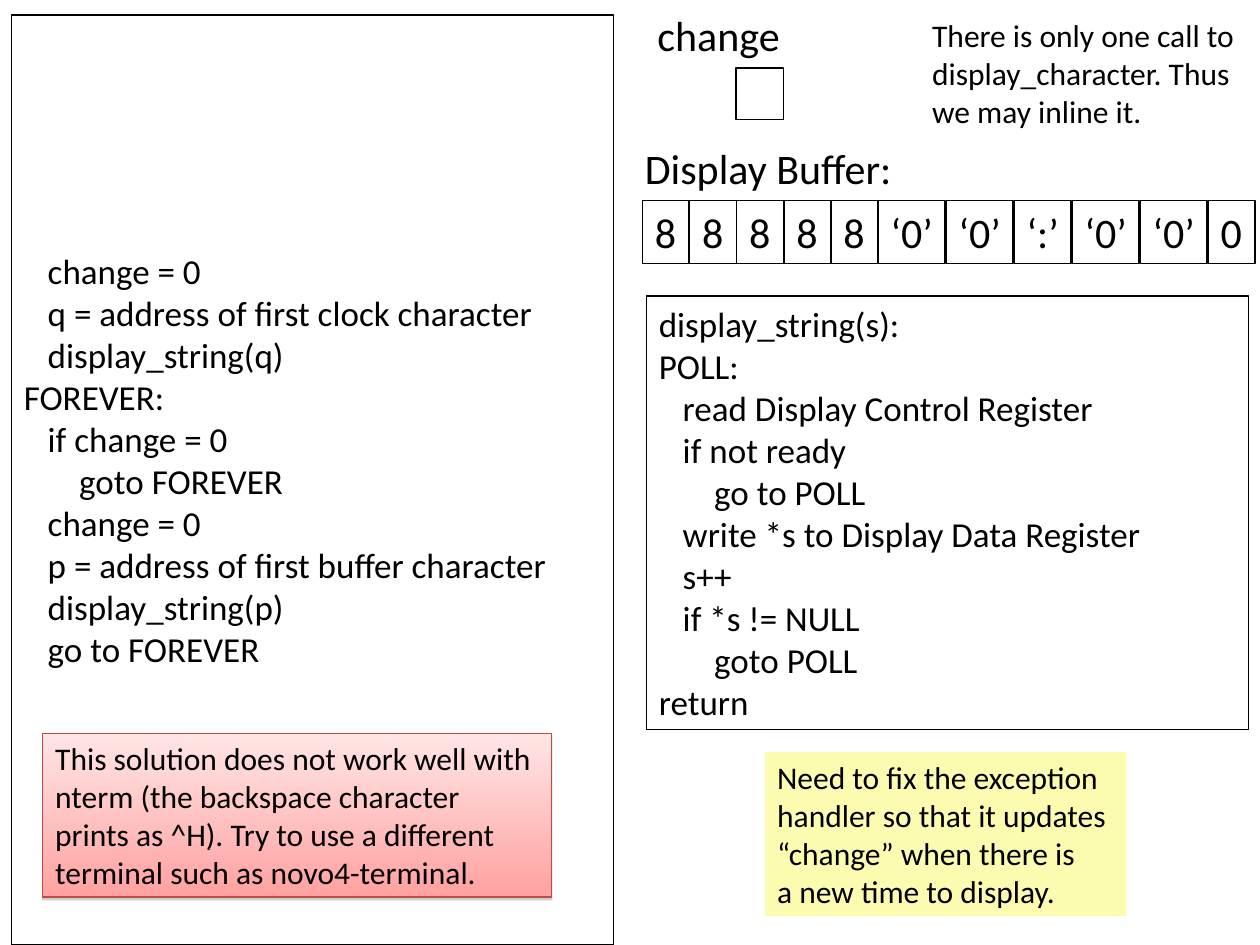
from lxml import etree
from pptx import Presentation
from pptx.dml.color import RGBColor
from pptx.enum.shapes import MSO_SHAPE
from pptx.enum.text import MSO_ANCHOR, MSO_AUTO_SIZE, PP_ALIGN
from pptx.util import Inches, Pt

RECT = MSO_SHAPE.RECTANGLE
TOP, MIDDLE = MSO_ANCHOR.TOP, MSO_ANCHOR.MIDDLE
GROW, FIXED = MSO_AUTO_SIZE.SHAPE_TO_FIT_TEXT, MSO_AUTO_SIZE.NONE
LEFT = PP_ALIGN.LEFT

BLACK = RGBColor(0x00, 0x00, 0x00)
YELLOW = RGBColor(0xFC, 0xFC, 0xB1)
PINK = RGBColor(0xFF, 0xE5, 0xE5)
SALMON = RGBColor(0xFF, 0xA2, 0xA1)
RED = RGBColor(0xBE, 0x4B, 0x48)

INDENTS = (0, 0.19, 0.44)  # inches for each code level
SHADOW = (
    '<a:outerShdw xmlns:a="http://schemas.openxmlformats.org/drawingml/2006/main"'
    ' blurRad="0" dist="20320" dir="5400000" rotWithShape="0">'
    '<a:srgbClr val="808080"><a:alpha val="38000"/></a:srgbClr></a:outerShdw>'
)


def add_text(text, at, size=18, line=None, fill=None, wrap=False, anchor=TOP,
             autosize=GROW, right=0.1, bottom=0.05):
    """Add a box of text; each leading tab in a line is one level of indent."""
    box = [Inches(v) for v in at]
    if line is None and fill is None:
        s = slide.shapes.add_textbox(*box)
    else:
        s = slide.shapes.add_shape(RECT, *box)
        s.shadow.inherit = False
        if fill is None:
            s.fill.background()
        else:
            s.fill.solid()
            s.fill.fore_color.rgb = fill
        if line is None:
            s.line.fill.background()
        else:
            s.line.color.rgb = line
            s.line.width = Pt(0.75)
    tf = s.text_frame
    tf.word_wrap = wrap
    tf.auto_size = autosize
    tf.vertical_anchor = anchor
    tf.margin_right = Inches(right)
    tf.margin_bottom = Inches(bottom)
    for i, row in enumerate(text.split("\n")):
        p = tf.paragraphs[0] if i == 0 else tf.add_paragraph()
        p.alignment = LEFT
        words = row.lstrip("\t")
        indent = INDENTS[len(row) - len(words)]
        if indent:
            p._p.get_or_add_pPr().set("marL", str(Inches(indent)))
        r = p.add_run()
        r.text = words
        r.font.size = Pt(size)
        r.font.name = "Calibri"
        r.font.color.rgb = BLACK
    return s


prs = Presentation()
prs.slide_width, prs.slide_height = Inches(10), Inches(7.5)
slide = prs.slides.add_slide(prs.slide_layouts[6])

# Main program; the deeper bottom margin lifts the centred code
MAIN_CODE = """\tchange = 0
\tq = address of first clock character
\tdisplay_string(q)
FOREVER:
\tif change = 0
\t\tgoto FOREVER
\tchange = 0
\tp = address of first buffer character
\tdisplay_string(p)
\tgo to FOREVER"""
add_text(MAIN_CODE, (0.09, 0.12, 4.78, 7.38), size=20, line=BLACK, wrap=True,
         anchor=MIDDLE, autosize=FIXED, bottom=0.38)

# Display buffer: backspaces, clock characters, terminator
BUFFER_LEFT, CLOCK_LEFT, BACKSPACES = 5.1, 6.97, 5
backspace_pitch = (CLOCK_LEFT - BUFFER_LEFT) / BACKSPACES
cells = [("8", 0.37, backspace_pitch)] * BACKSPACES
cells += [("‘:’", 0.45, 0.46) if c == ":" else (f"‘{c}’", 0.53, 0.54) for c in "00:00"]
cells.append(("0", 0.37, 0.37))
x = BUFFER_LEFT
for char, width, pitch in cells:
    # A narrow right margin keeps the closing quote on the line
    add_text(char, (x, 1.59, width, 0.5), size=24, line=BLACK, autosize=FIXED, right=0.02,
             wrap=True)
    x += pitch

# Change flag and labels
flag = slide.shapes.add_shape(RECT, Inches(5.84), Inches(0.54), Inches(0.38), Inches(0.41))
flag.shadow.inherit = False
flag.fill.background()
flag.line.color.rgb = BLACK
flag.line.width = Pt(0.75)
add_text("change", (5.12, 0.03, 1.17, 0.5), size=24)
add_text("Display Buffer:", (5.02, 1.08, 2.17, 0.5), size=24)

# Display routine
DISPLAY_CODE = """display_string(s):
POLL:
\tread Display Control Register
\tif not ready
\t\tgo to POLL
\twrite *s to Display Data Register
\ts++
\tif *s != NULL
\t\tgoto POLL
return"""
add_text(DISPLAY_CODE, (5.13, 2.35, 4.78, 3.44), size=20, line=BLACK, wrap=True)

# Notes around the code
add_text("There is only one call to\ndisplay_character. Thus\nwe may inline it.",
         (7.3, 0.08, 2.6, 1))
add_text("Need to fix the exception\nhandler so that it updates\n"
         "“change” when there is\na new time to display.",
         (6.07, 5.97, 2.87, 1.3), fill=YELLOW)
warning = add_text("This solution does not work well with\nnterm (the backspace character\n"
                   "prints as ^H). Try to use a different\nterminal such as novo4-terminal.",
                   (0.34, 5.82, 4.04, 1.3), line=RED)
warning.fill.gradient()
warning.fill.gradient_angle = 270
for stop, color, position in zip(warning.fill.gradient_stops, (PINK, SALMON), (0, 1)):
    stop.color.rgb = color
    stop.position = position
warning._element.spPr.effectLst.append(etree.fromstring(SHADOW))

prs.save("out.pptx")
